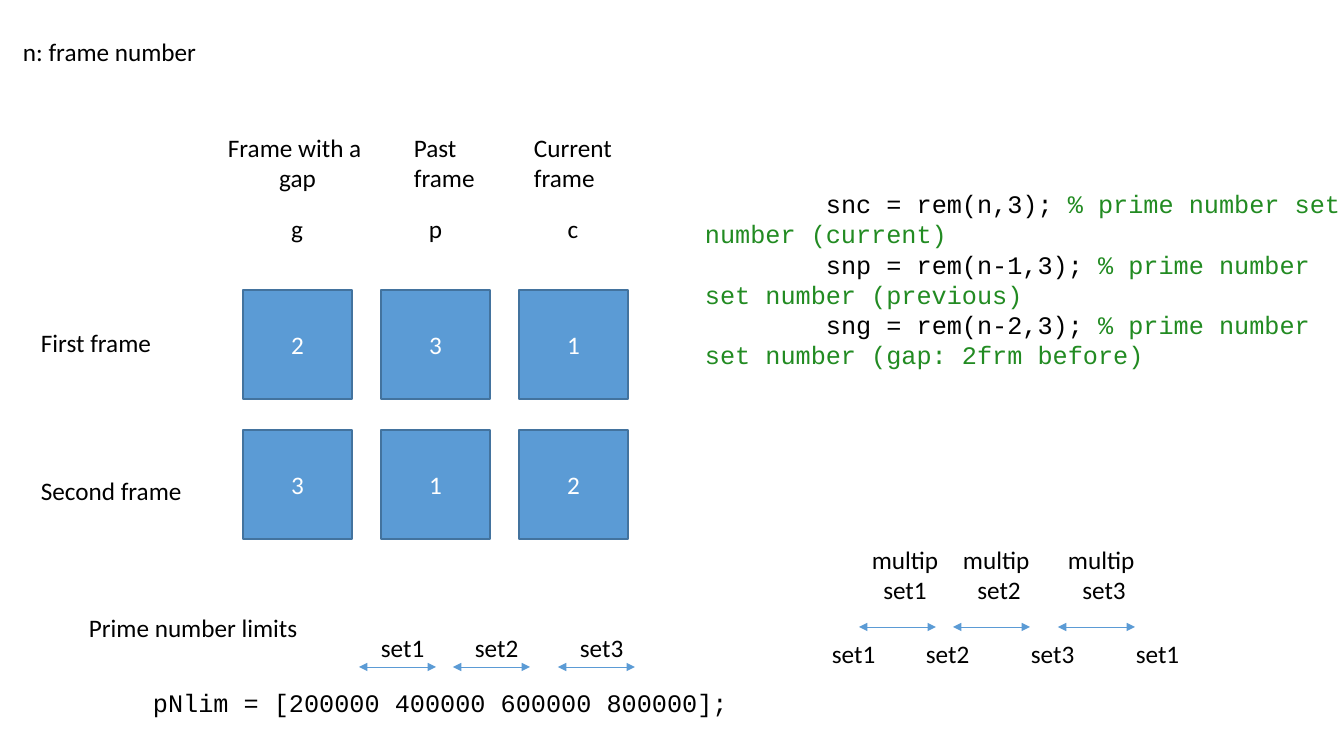
from dataclasses import dataclass

from lxml import etree
from pptx import Presentation
from pptx import util as u
from pptx.dml import color
from pptx.enum import shapes, text
from pptx.oxml import ns

PX = 914400 / 100.8


def px(length):
    return u.Emu(round(length * PX))


@dataclass(frozen=True)
class Theme:
    ink: str = "000000"
    comment: str = "228B22"
    on_box: str = "FFFFFF"
    box: str = "5B9BD5"
    box_edge: str = "43739E"
    body_font: str = "Calibri"
    code_font: str = "Courier New"
    size: int = 18
    edge: float = 1
    arrow: float = 0.5


class FrameSlide:
    """Draws the elements of one slide in one theme."""

    def __init__(self, slide, theme):
        self.shapes = slide.shapes
        self.theme = theme

    def style(self, run, ink, font):
        run.font.size = u.Pt(self.theme.size)
        run.font.name = font
        run.font.color.rgb = color.RGBColor.from_string(ink)

    def label(self, words, left, top, width, centred=False):
        lines = words.split("\n")
        height = 10 + 31 * len(lines)
        frame = self.shapes.add_textbox(px(left), px(top), px(width), px(height)).text_frame
        frame.word_wrap = False
        frame.auto_size = text.MSO_AUTO_SIZE.SHAPE_TO_FIT_TEXT
        frame.text = words
        for paragraph in frame.paragraphs:
            paragraph.alignment = text.PP_ALIGN.CENTER if centred else text.PP_ALIGN.LEFT
            for run in paragraph.runs:
                self.style(run, self.theme.ink, self.theme.body_font)

    def centred_label(self, words, centre, top, width):
        self.label(words, centre - width // 2, top, width, centred=True)

    def code(self, statements, left, top, width, height, indent):
        frame = self.shapes.add_textbox(px(left), px(top), px(width), px(height)).text_frame
        frame.word_wrap = True
        frame.vertical_anchor = text.MSO_ANCHOR.BOTTOM
        for i, (statement, comment) in enumerate(statements):
            paragraph = frame.add_paragraph() if i else frame.paragraphs[0]
            paragraph.text = statement
            self.style(paragraph.runs[0], self.theme.ink, self.theme.code_font)
            if comment:
                remark = paragraph.add_run()
                remark.text = comment
                self.style(remark, self.theme.comment, self.theme.code_font)
            properties = paragraph._p.get_or_add_pPr()
            properties.set("marL", "0")
            properties.set("indent", str(px(indent)))

    def box(self, number, left, top, side):
        square = self.shapes.add_shape(
            shapes.MSO_SHAPE.RECTANGLE, px(left), px(top), px(side), px(side))
        square.shadow.inherit = False
        square.fill.solid()
        square.fill.fore_color.rgb = color.RGBColor.from_string(self.theme.box)
        square.line.color.rgb = color.RGBColor.from_string(self.theme.box_edge)
        square.line.width = u.Pt(self.theme.edge)
        frame = square.text_frame
        frame.vertical_anchor = text.MSO_ANCHOR.MIDDLE
        frame.text = number
        frame.paragraphs[0].alignment = text.PP_ALIGN.CENTER
        self.style(frame.paragraphs[0].runs[0], self.theme.on_box, self.theme.body_font)

    def double_arrow(self, left, y, length):
        arrow = self.shapes.add_connector(
            shapes.MSO_CONNECTOR.STRAIGHT, px(left), px(y), px(left + length), px(y))
        arrow.line.color.rgb = color.RGBColor.from_string(self.theme.box)
        arrow.line.width = u.Pt(self.theme.arrow)
        outline = arrow.line._get_or_add_ln()
        for end in ("a:headEnd", "a:tailEnd"):
            etree.SubElement(outline, ns.qn(end)).set("type", "triangle")
        etree.SubElement(arrow._element.spPr, ns.qn("a:effectLst"))


def main():
    deck = Presentation()
    deck.slide_width, deck.slide_height = px(1344), px(756)
    page = FrameSlide(deck.slides.add_slide(deck.slide_layouts[6]), Theme())

    page.label("n: frame number", 13, 31, 196)
    page.centred_label("Frame with a \ngap", 297, 127, 161)
    page.label("Past\nframe", 404, 127, 82)
    page.label("Current\nframe", 524, 127, 99)

    side, pitch = 109, 138
    columns = [243 + pitch * i for i in range(3)]
    for letter, left in zip("gpc", columns):
        page.centred_label(letter, left + side // 2, 208, 32)

    frames = (("First frame", 322, 131, 290, "231"),
              ("Second frame", 470, 162, 430, "312"))
    for name, name_top, name_width, box_top, sets in frames:
        page.label(name, 31, name_top, name_width)
        for number, left in zip(sets, columns):
            page.box(number, left, box_top, side)

    page.code((("snc = rem(n,3); ", "% prime number set number (current)"),
               ("snp = rem(n-1,3); ", "% prime number set number (previous)"),
               ("sng = rem(n-2,3); ", "% prime number set number (gap: 2frm before)")),
              695, 121, 672, 254, indent=121)

    page.label("Prime number limits", 79, 607, 231)
    page.code((("pNlim = [200000 400000 600000 800000];", None),),
              83, 651, 672, 72, indent=60)

    starts = (359, 453, 558, 663)
    names = ("set1", "set2", "set3", "set1")
    products = (("multip\n", 88), ("multip \n", 94), ("multip \n", 94))
    for start, name, (product, width) in zip(starts, names, products):
        page.double_arrow(start, 667, 77)
        page.label(name, start + 12, 627, 65)
        page.double_arrow(start + 500, 627, 77)
        page.centred_label(product + name, start + 546, 539, width)
    for start, name in zip(starts, names):
        page.label(name, start + 463, 633, 65)

    deck.save("out.pptx")


if __name__ == "__main__":
    main()
